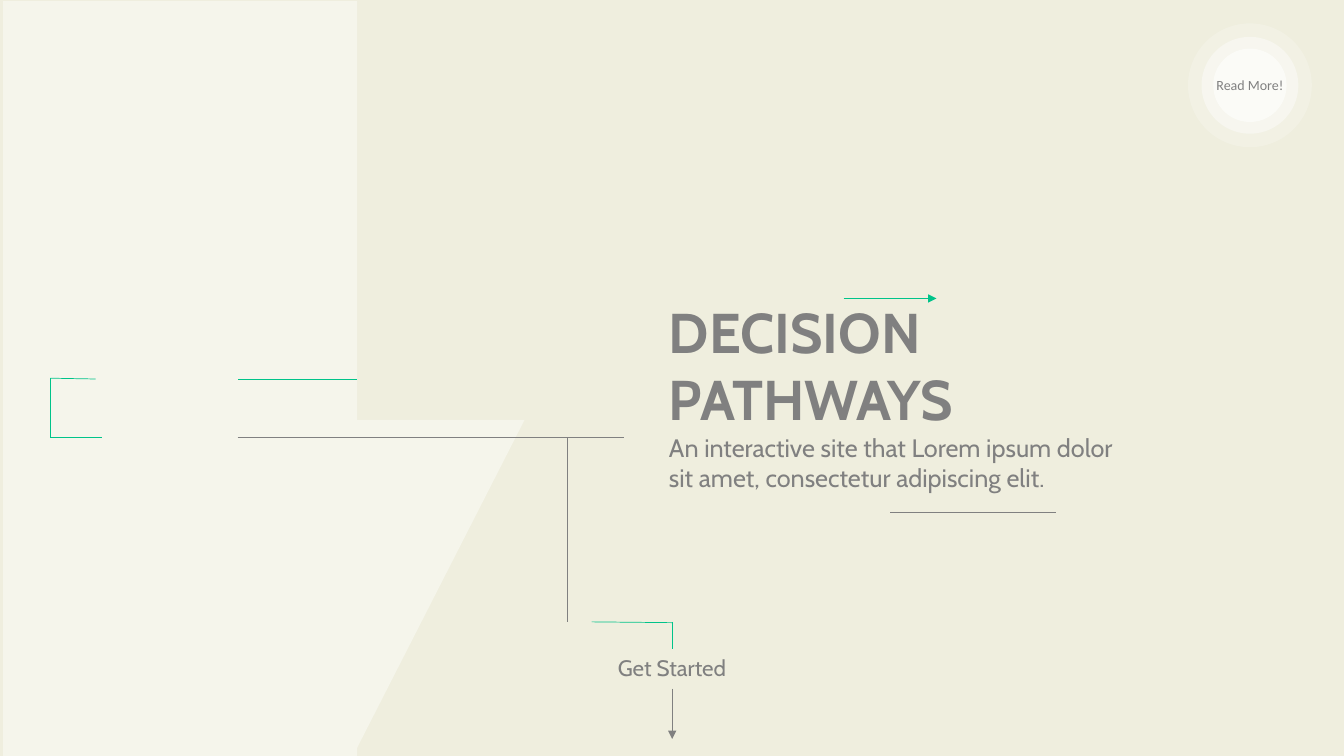
from typing import NamedTuple

from lxml.etree import SubElement
from pptx import Presentation
from pptx.dml.color import RGBColor
from pptx.enum.shapes import MSO_CONNECTOR as Link, MSO_SHAPE as Preset
from pptx.enum.text import MSO_ANCHOR as Anchor, MSO_AUTO_SIZE as AutoSize, PP_ALIGN as Align
from pptx.oxml.ns import qn
from pptx.util import Cm, Pt

SAND = RGBColor(0xEF, 0xEE, 0xDE)
CREAM = RGBColor(0xF5, 0xF5, 0xEB)
WHITE = RGBColor(0xFF, 0xFF, 0xFF)
GREY = RGBColor(0x80, 0x80, 0x80)
GREEN = RGBColor(0x00, 0xC3, 0x89)

WIDTH, HEIGHT = 33.87, 19.05
MAIN_Y = 11.02
BRANCH_Y = 15.67
START_X = 16.94
LOOP_X = 1.27
GAP_END = 5.99


class Box(NamedTuple):
    left: float
    top: float
    width: float
    height: float


class Panel(NamedTuple):
    preset: Preset
    box: Box
    color: RGBColor
    turn: int = 0


class Path(NamedTuple):
    x1: float
    y1: float
    x2: float
    y2: float
    color: RGBColor = GREEN
    arrow: bool = False


class Caption(NamedTuple):
    box: Box
    lines: list[str]
    size: int
    bold: bool = False


class Ring(NamedTuple):
    diameter: float
    opacity: int


BACKGROUND = Panel(Preset.RECTANGLE, Box(0, 0, WIDTH, HEIGHT), SAND)
SIDE_PANELS = [
    Panel(Preset.RECTANGLE, Box(0.08, 0.03, 8.92, HEIGHT), CREAM),
    Panel(Preset.RECTANGLE, Box(9.19, 10.21, 6.93, 0.84), SAND),
    Panel(Preset.RIGHT_TRIANGLE, Box(6.83, 12.65, 8.46, 4.32), CREAM, turn=90),
]
CAPTIONS = [
    Caption(Box(16.61, 7.37, 8.05, 3.68), ["DECISION", "PATHWAYS"], 40, bold=True),
    Caption(Box(16.61, 10.77, 11.73, 1.8),
            ["An interactive site that Lorem ipsum dolor",
             "sit amet, consectetur adipiscing elit."], 18),
    Caption(Box(15.32, 16.36, 3.23, 0.94), ["Get Started"], 16),
]
START_PATHS = [
    Path(START_X, 17.35, START_X, 18.62, GREY, arrow=True),
    Path(14.91, BRANCH_Y, START_X, BRANCH_Y + 0.02),
    Path(START_X, BRANCH_Y, START_X, 16.36),
]
DECISION_PATHS = [
    Path(GAP_END, MAIN_Y, 15.72, MAIN_Y, GREY),
    Path(14.3, BRANCH_Y, 14.3, MAIN_Y, GREY),
    Path(LOOP_X, MAIN_Y, 2.57, MAIN_Y),
    Path(LOOP_X, MAIN_Y, LOOP_X, 9.53),
    Path(2.41, 9.55, LOOP_X, 9.53),
    Path(8.99, 9.55, GAP_END, 9.55),
    Path(21.26, 7.52, 23.6, 7.52, arrow=True),
    Path(22.43, 12.9, 26.62, 12.9, GREY),
]
RINGS = [Ring(1.85, 60), Ring(2.44, 40), Ring(3.12, 20)]
RING_X, RING_Y = 31.5, 2.15

deck = Presentation()
deck.slide_width, deck.slide_height = Cm(WIDTH), Cm(HEIGHT)
slide = deck.slides.add_slide(deck.slide_layouts[6])


def write(frame, lines: list[str], *, size: int, font: str = "Cabin", bold: bool = False,
          align: Align = Align.LEFT, anchor: Anchor = Anchor.TOP) -> None:
    frame.word_wrap = False
    frame.vertical_anchor = anchor
    for index, line in enumerate(lines):
        paragraph = frame.add_paragraph() if index else frame.paragraphs[0]
        paragraph.alignment = align
        run = paragraph.add_run()
        run.text = line
        run.font.name, run.font.size, run.font.bold = font, Pt(size), bold
        run.font.color.rgb = GREY


def draw_panel(panel: Panel):
    shape = slide.shapes.add_shape(panel.preset, *map(Cm, panel.box))
    shape.rotation = panel.turn
    shape.shadow.inherit = False
    shape.fill.solid()
    shape.fill.fore_color.rgb = panel.color
    shape.line.fill.background()
    return shape


def draw_path(path: Path) -> None:
    connector = slide.shapes.add_connector(
        Link.STRAIGHT, Cm(path.x1), Cm(path.y1), Cm(path.x2), Cm(path.y2))
    connector.line.color.rgb = path.color
    connector.line.width = Pt(0.5)
    if path.arrow:
        SubElement(connector.line._get_or_add_ln(), qn("a:tailEnd"), type="triangle")
    SubElement(connector._element.spPr, qn("a:effectLst"))


def draw_caption(caption: Caption) -> None:
    frame = slide.shapes.add_textbox(*map(Cm, caption.box)).text_frame
    write(frame, caption.lines, size=caption.size, bold=caption.bold)
    frame.auto_size = AutoSize.SHAPE_TO_FIT_TEXT


def draw_ring(ring: Ring):
    radius = ring.diameter / 2
    box = Box(RING_X - radius, RING_Y - radius, ring.diameter, ring.diameter)
    shape = draw_panel(Panel(Preset.OVAL, box, WHITE))
    color = shape._element.spPr.find(qn("a:solidFill"))[0]
    SubElement(color, qn("a:alpha"), val=str(ring.opacity * 1000))
    return shape


draw_panel(BACKGROUND)
for caption in CAPTIONS:
    draw_caption(caption)
for path in START_PATHS:
    draw_path(path)
for panel in SIDE_PANELS:
    draw_panel(panel)
for path in DECISION_PATHS:
    draw_path(path)
read_more = [draw_ring(ring) for ring in RINGS][-1]
write(read_more.text_frame, ["Read More!"], size=10, font="Calibri",
      align=Align.CENTER, anchor=Anchor.MIDDLE)

deck.save("out.pptx")
